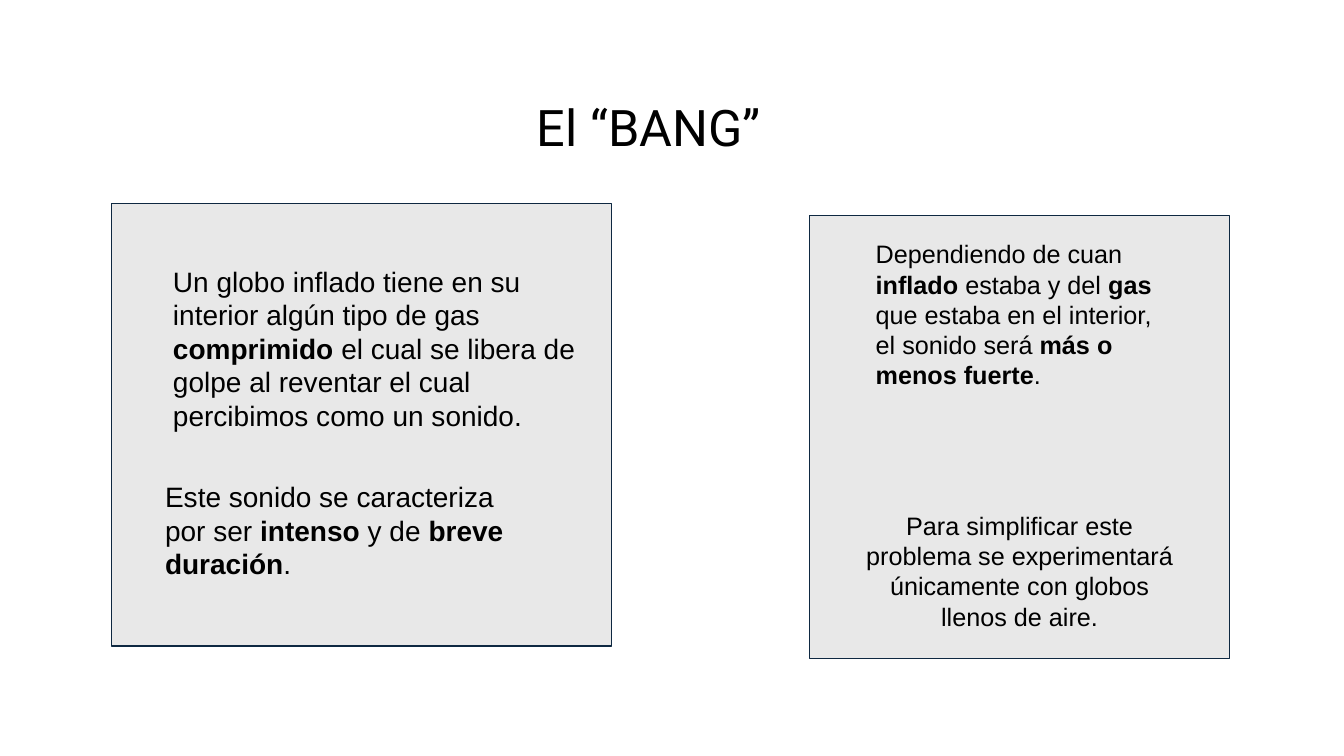
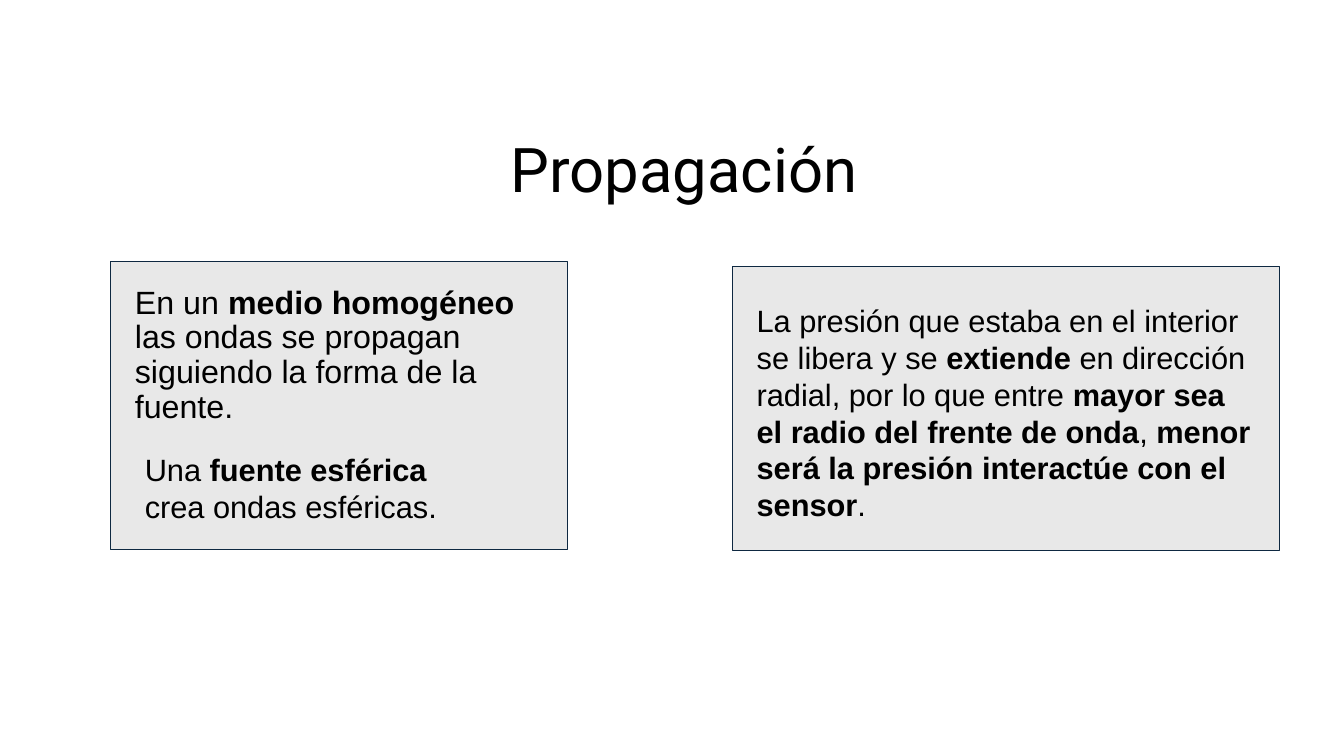
from pptx import Presentation
from pptx.dml.color import RGBColor
from pptx.enum.shapes import MSO_SHAPE
from pptx.enum.text import MSO_ANCHOR, PP_ALIGN
from pptx.util import Cm, Pt

COLORS = {"panel": "E8E8E8", "border": "0E2841", "text": "000000"}
TITLE = {"font": "Roboto", "anchor": MSO_ANCHOR.MIDDLE, "spacing": 0.9}

# Boxes are left, top, width, height in centimetres; ** marks bold text.
SLIDES = [
    {
        "panels": [(20.4, 5.44, 10.59, 11.15), (2.82, 5.13, 12.6, 11.15)],
        "title": ("El “BANG”", (13.28, 1.45, 7.29, 3.68), {"size": 36}),
        "texts": [
            ("Un globo inflado tiene en su interior algún tipo de gas "
             "**comprimido** el cual se libera de golpe al reventar el cual "
             "percibimos como un sonido.",
             (4.11, 6.53, 11.3, 4.52), {"size": 20}),
            ("Este sonido se caracteriza por ser **intenso** y de "
             "**breve duración**.",
             (3.91, 11.96, 9.07, 2.82), {"size": 20}),
            ("Dependiendo de cuan **inflado** estaba y del **gas** que estaba "
             "en el interior, el sonido será **más o menos fuerte**.",
             (21.82, 5.89, 7.75, 4.11), {"size": 18}),
            ("Para simplificar este problema se experimentará únicamente con "
             "globos llenos de aire.",
             (21.44, 12.73, 8.51, 3.33),
             {"size": 18, "align": PP_ALIGN.CENTER}),
        ],
    },
    {
        "panels": [(18.47, 6.71, 13.77, 7.16), (2.79, 6.58, 11.51, 7.26)],
        "title": ("Propagación", (2.64, 2.51, 29.21, 3.68),
                  {"size": 44, "align": PP_ALIGN.CENTER}),
        "texts": [
            ("En un **medio homogéneo **las ondas se propagan siguiendo la "
             "forma de la fuente.",
             (3.15, 7.09, 10.8, 3.43), {"size": 23, "spacing": 0.9}),
            ("Una **fuente esférica **crea ondas esféricas.",
             (3.4, 11.23, 9.02, 2.13), {"size": 22}),
            ("La presión que estaba en el interior se libera y se "
             "**extiende** en dirección radial, por lo que entre **mayor sea "
             "el radio del frente de onda**, **menor será la presión "
             "interactúe con el sensor**.",
             (18.82, 7.47, 13.03, 5.89), {"size": 22}),
        ],
    },
]


def add_text(s, text, box, size, font="Arial", align=PP_ALIGN.LEFT,
             anchor=MSO_ANCHOR.TOP, spacing=1.0):
    """Add a text box in which every second part between ** is bold."""
    tf = s.shapes.add_textbox(*map(Cm, box)).text_frame
    tf.word_wrap = True
    tf.vertical_anchor = anchor
    p = tf.paragraphs[0]
    p.alignment = align
    p.line_spacing = spacing
    for i, part in enumerate(text.split("**")):
        if part:
            r = p.add_run()
            r.text = part
            r.font.name = font
            r.font.size = Pt(size)
            r.font.bold = i % 2 == 1
            r.font.color.rgb = RGBColor.from_string(COLORS["text"])


def add_panel(s, box):
    sp = s.shapes.add_shape(MSO_SHAPE.RECTANGLE, *map(Cm, box))
    sp.shadow.inherit = False
    sp.fill.solid()
    sp.fill.fore_color.rgb = RGBColor.from_string(COLORS["panel"])
    sp.line.color.rgb = RGBColor.from_string(COLORS["border"])
    sp.line.width = Pt(0.75)


prs = Presentation()
prs.slide_width, prs.slide_height = Cm(33.87), Cm(19.05)

for content in SLIDES:
    s = prs.slides.add_slide(prs.slide_layouts[6])
    for box in content["panels"]:
        add_panel(s, box)
    title, box, fmt = content["title"]
    add_text(s, title, box, **TITLE, **fmt)
    for text, box, fmt in content["texts"]:
        add_text(s, text, box, **fmt)

prs.save("out.pptx")
